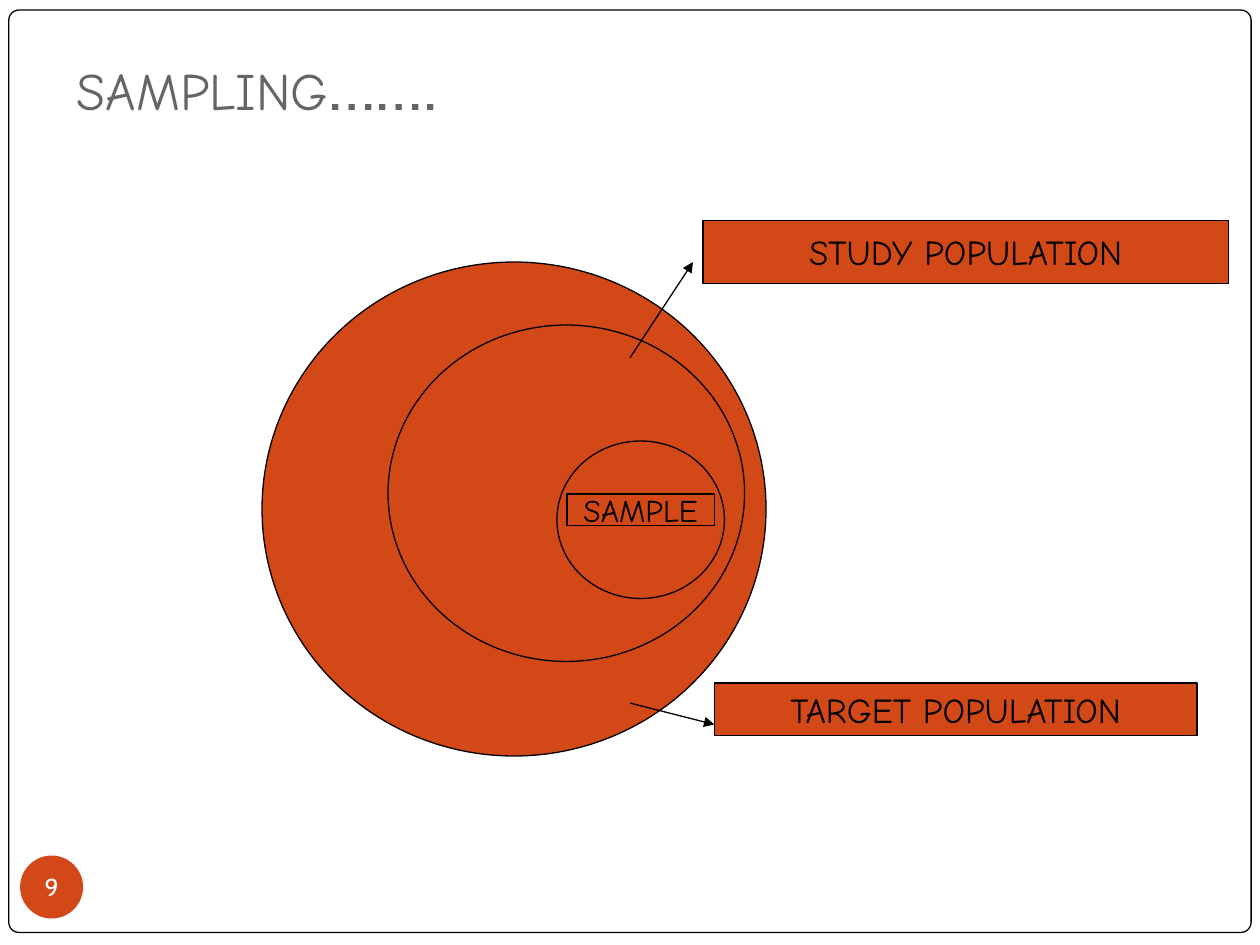
from dataclasses import dataclass

from lxml import etree
from pptx import Presentation
from pptx import util as u
from pptx.dml.color import RGBColor
from pptx.enum import shapes, text
from pptx.oxml.ns import qn

COLORS = {"paper": "FFFFFF", "ink": "000000", "accent": "D34817", "title": "696464"}
LABEL_FONT, BASE_FONT = "Comic Neue", "Cabin"
OVAL = shapes.MSO_SHAPE.OVAL
RECTANGLE = shapes.MSO_SHAPE.RECTANGLE
ROUNDED = shapes.MSO_SHAPE.ROUNDED_RECTANGLE


@dataclass
class Figure:
    kind: shapes.MSO_SHAPE
    box: tuple[float, float, float, float]
    fill: str | None = "accent"
    line: str | None = "ink"
    label: str = ""
    size: int = 20
    font: str = LABEL_FONT
    color: str = "ink"
    margins: tuple[float, float, float, float] = (0.1, 0.05, 0.1, 0.05)


@dataclass
class Arrow:
    start: tuple[float, float]
    end: tuple[float, float]


FRAME = Figure(ROUNDED, (0.07, 0.08, 9.86, 7.32), fill=None)
PAGE_NUMBER = Figure(OVAL, (0.16, 6.79, 0.5, 0.5), line=None, label="9", size=14,
                     font=BASE_FONT, color="paper", margins=(0, 0, 0, 0))
POPULATIONS = [
    Figure(OVAL, (2.08, 2.08, 4, 3.92)),
    Figure(OVAL, (3.08, 2.58, 2.83, 2.67)),
    Figure(OVAL, (4.42, 3.5, 1.33, 1.25)),
]
LABELS = [
    Figure(RECTANGLE, (5.67, 5.42, 3.83, 0.42), label="TARGET POPULATION"),
    Figure(RECTANGLE, (5.58, 1.75, 4.17, 0.5), label="STUDY POPULATION"),
    Figure(RECTANGLE, (4.5, 3.92, 1.17, 0.25), label="SAMPLE", size=18),
]
POINTERS = [Arrow((5, 2.84), (5.5, 2.08)), Arrow((5, 5.58), (5.67, 5.75))]


def rgb(name: str) -> RGBColor:
    return RGBColor.from_string(COLORS[name])


def apply(target, values: dict) -> None:
    for name, value in values.items():
        setattr(target, name, value)


def format_frame(frame, margins: tuple, anchor, wrap: bool) -> None:
    sides = ("margin_left", "margin_top", "margin_right", "margin_bottom")
    apply(frame, dict(zip(sides, map(u.Inches, margins))))
    apply(frame, {"vertical_anchor": anchor, "word_wrap": wrap,
                  "auto_size": text.MSO_AUTO_SIZE.NONE})


def add_words(paragraph, words: str, size: int, font: str, color: str) -> None:
    run = paragraph.add_run()
    run.text = words
    apply(run.font, {"size": u.Pt(size), "name": font})
    run.font.color.rgb = rgb(color)


def draw_figure(slide, figure: Figure):
    drawn = slide.shapes.add_shape(figure.kind, *map(u.Inches, figure.box))
    drawn.shadow.inherit = False
    if figure.fill:
        drawn.fill.solid()
        drawn.fill.fore_color.rgb = rgb(figure.fill)
    else:
        drawn.fill.background()
    if figure.line:
        drawn.line.color.rgb = rgb(figure.line)
        drawn.line.width = u.Pt(0.75)
    else:
        drawn.line.fill.background()
    if figure.label:
        format_frame(drawn.text_frame, figure.margins, text.MSO_ANCHOR.MIDDLE, False)
        paragraph = drawn.text_frame.paragraphs[0]
        paragraph.alignment = text.PP_ALIGN.CENTER
        add_words(paragraph, figure.label, figure.size, figure.font, figure.color)
    return drawn


def draw_arrow(slide, arrow: Arrow) -> None:
    pointer = slide.shapes.add_connector(
        shapes.MSO_CONNECTOR.STRAIGHT, *map(u.Inches, arrow.start + arrow.end))
    pointer.line.color.rgb = rgb("ink")
    pointer.line.width = u.Pt(0.75)
    etree.SubElement(pointer.line._get_or_add_ln(), qn("a:tailEnd"), type="triangle")
    etree.SubElement(pointer._element.spPr, qn("a:effectLst"))


def write_title(slide) -> None:
    title = slide.shapes.title
    places = ("left", "top", "width", "height")
    apply(title, dict(zip(places, map(u.Inches, (0.51, 0.19, 8.24, 0.9)))))
    format_frame(title.text_frame, (0.1, 0.05, 0.1, 0.1), text.MSO_ANCHOR.BOTTOM, True)
    heading = title.text_frame.paragraphs[0]
    heading.alignment = text.PP_ALIGN.LEFT
    add_words(heading, "SAMPLING", 30, LABEL_FONT, "title")
    add_words(heading, "…….", 40, BASE_FONT, "title")


def main() -> None:
    deck = Presentation()
    apply(deck, {"slide_width": u.Inches(10), "slide_height": u.Inches(7.5)})
    slide = deck.slides.add_slide(deck.slide_layouts[5])
    slide.background.fill.solid()
    slide.background.fill.fore_color.rgb = rgb("paper")
    write_title(slide)
    draw_figure(slide, FRAME).adjustments[0] = 0.011
    for figure in [PAGE_NUMBER, *POPULATIONS, *LABELS]:
        draw_figure(slide, figure)
    for pointer in POINTERS:
        draw_arrow(slide, pointer)
    deck.save("out.pptx")


if __name__ == "__main__":
    main()
